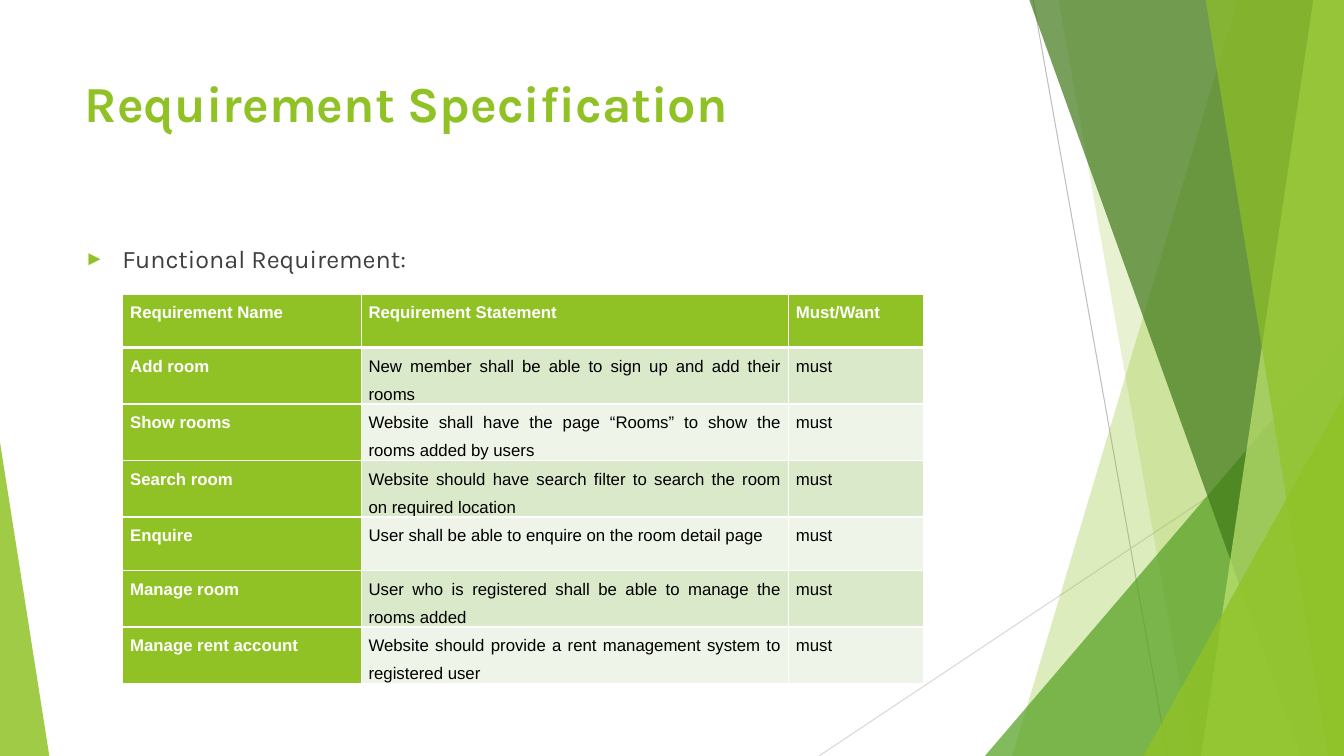
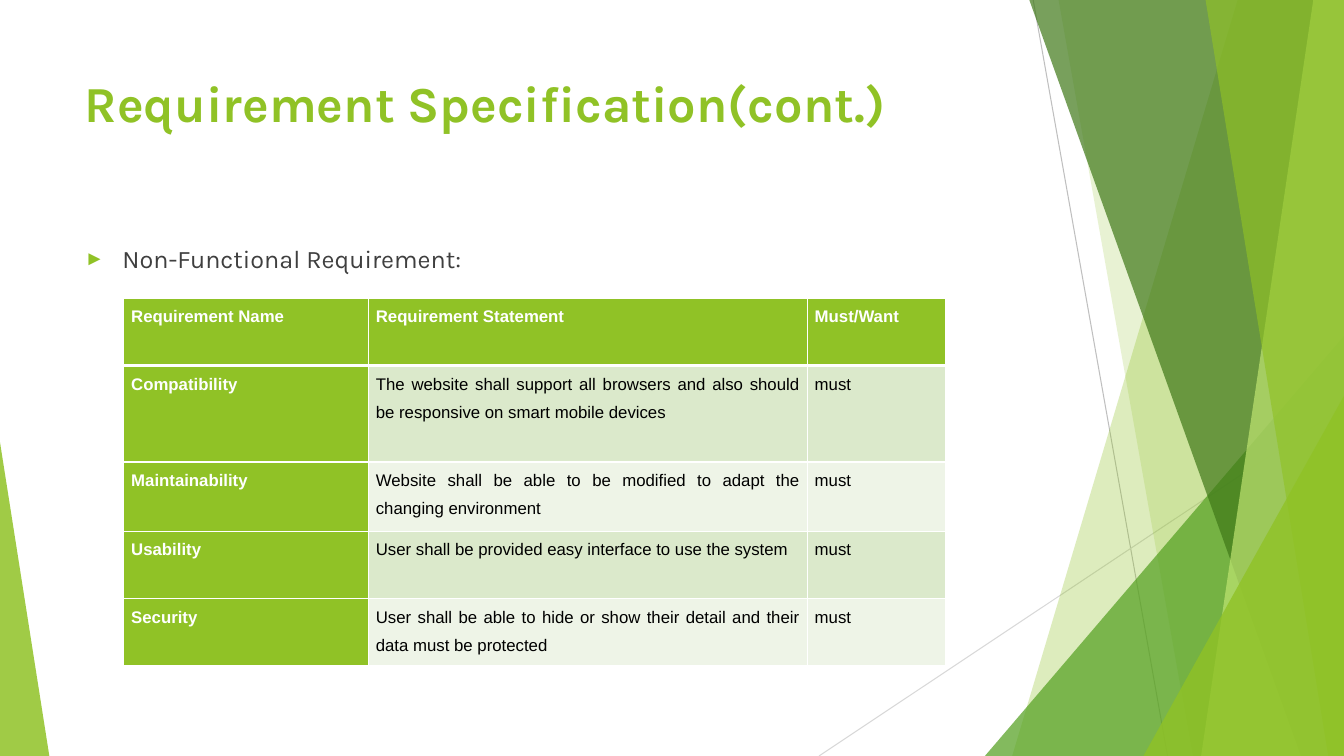
from lxml import etree
from pptx import Presentation
from pptx.dml.color import RGBColor
from pptx.enum import shapes, text
from pptx.oxml import ns
from pptx.util import Pt

PX = 9525
WIDTH, HEIGHT = 1280, 720

GREEN = RGBColor(0x90, 0xC2, 0x26)
MID_GREEN = RGBColor(0x54, 0xA0, 0x21)
DARK_GREEN = RGBColor(0x3F, 0x78, 0x18)
LIGHT_GREEN = RGBColor(0xBF, 0xE4, 0x71)
BANDS = RGBColor(0xDB, 0xE9, 0xCB), RGBColor(0xEE, 0xF4, 0xE7)
WHITE = RGBColor(0xFF, 0xFF, 0xFF)
BLACK = RGBColor(0, 0, 0)
BODY_GREY = RGBColor(0x3F, 0x3F, 0x3F)
LINE_GREY = RGBColor(0xBF, 0xBF, 0xBF)
PALE_GREY = RGBColor(0xD8, 0xD8, 0xD8)

HEADINGS = "Requirement Name", "Requirement Statement", "Must/Want"
FUNCTIONAL = [
    ("Add room", "New member shall be able to sign up and add their rooms"),
    ("Show rooms", "Website shall have the page “Rooms” to show the rooms added by users"),
    ("Search room", "Website should have search filter to search the room on required location"),
    ("Enquire", "User shall be able to enquire on the room detail page"),
    ("Manage room", "User who is registered shall be able to manage the rooms added"),
    ("Manage rent account", "Website should provide a rent management system to registered user"),
]
NON_FUNCTIONAL = [
    ("Compatibility", "The website shall support all browsers and also should be responsive "
                      "on smart mobile devices"),
    ("Maintainability", "Website shall be able to be modified to adapt the changing environment"),
    ("Usability", "User shall be provided easy interface to use the system"),
    ("Security", "User shall be able to hide or show their detail and their data must be protected"),
]


def px(*lengths):
    return [length * PX for length in lengths]


def add_xml(parent, tag, **attributes):
    return etree.SubElement(parent, ns.qn(tag), attributes)


def write(frame, words, size=12, color=BLACK, font="Arial", bold=False,
          align=text.PP_ALIGN.LEFT, spacing=1.0):
    frame.word_wrap = True
    frame.vertical_anchor = text.MSO_ANCHOR.TOP
    paragraph = frame.paragraphs[0]
    paragraph.alignment = align
    paragraph.line_spacing = spacing
    paragraph.space_before = Pt(0)
    run = paragraph.add_run()
    run.text = words
    run.font.size = Pt(size)
    run.font.name = font
    run.font.bold = bold
    run.font.color.rgb = color
    return paragraph


def paint(shape, color, opacity):
    shape.shadow.inherit = False
    shape.line.fill.background()
    shape.fill.solid()
    shape.fill.fore_color.rgb = color
    solid = shape.element.spPr.find(ns.qn("a:solidFill"))
    add_xml(solid[0], "a:alpha", val=str(opacity * 1000))


def add_facet(slide, top_x, bottom_x, color, opacity):
    """Fill from a slanted left side to the right edge of the slide."""
    outline = slide.shapes.build_freeform(top_x, -1, scale=PX)
    outline.add_line_segments([(WIDTH, -1), (WIDTH, HEIGHT), (bottom_x, HEIGHT)])
    paint(outline.convert_to_shape(), color, opacity)


def add_corner(slide, left, top, width, apex, color, opacity):
    """Stand a triangle on the bottom edge; apex is 0 at left, 1 at right."""
    triangle = slide.shapes.add_shape(shapes.MSO_SHAPE.ISOSCELES_TRIANGLE,
                                      *px(left, top, width, HEIGHT - top))
    triangle.adjustments[0] = apex
    paint(triangle, color, opacity)


def add_line(slide, start, end, color):
    line = slide.shapes.add_connector(shapes.MSO_CONNECTOR.STRAIGHT, *px(*start, *end))
    line.line.color.rgb = color
    line.line.width = Pt(0.75)
    add_xml(line.element.spPr, "a:effectLst")


def decorate_master(slide, master):
    """Draw the facets on a slide, then move them behind the master's placeholders."""
    content = {shape.shape_id for shape in slide.shapes}
    add_line(slide, (984, 0), (1112, HEIGHT), LINE_GREY)
    add_line(slide, (WIDTH, 387), (780, HEIGHT), PALE_GREY)
    add_facet(slide, 1179, 964, GREEN, 30)
    add_facet(slide, 1008, 1136, GREEN, 20)
    add_corner(slide, 938, 320, 342, 1, MID_GREEN, 72)
    add_facet(slide, 980, 1239, DARK_GREEN, 70)
    add_facet(slide, 1251, 1144, LIGHT_GREEN, 70)
    add_facet(slide, 1148, 1265, GREEN, 65)
    add_corner(slide, 1089, 377, 191, 1, GREEN, 80)
    add_corner(slide, 0, 421, 47, 0, GREEN, 85)
    facets = [shape for shape in slide.shapes if shape.shape_id not in content]
    for order, facet in enumerate(facets):
        facet.element.xpath(".//p:cNvPr")[0].set("id", str(100 + order))
        master.shapes.element.insert(2 + order, facet.element)


def place_layout(layout):
    for placeholder, box in zip(layout.placeholders, [(71, 64, 902, 138), (71, 227, 902, 407)]):
        (placeholder.left, placeholder.top,
         placeholder.width, placeholder.height) = px(*box)


def add_bullet(paragraph):
    properties = paragraph._p.get_or_add_pPr()
    properties.set("marL", str(36 * PX))
    properties.set("indent", str(-36 * PX))
    color = add_xml(properties, "a:buClr")
    add_xml(color, "a:srgbClr", val=str(GREEN))
    add_xml(properties, "a:buSzPct", val="80000")
    add_xml(properties, "a:buFont", typeface="Arial")
    add_xml(properties, "a:buChar", char="►")


def add_borders(cell, top, bottom):
    properties = cell._tc.get_or_add_tcPr()
    for tag, points in (("a:lnL", 1), ("a:lnR", 1), ("a:lnT", top), ("a:lnB", bottom)):
        border = add_xml(properties, tag, w=str(Pt(points)))
        add_xml(add_xml(border, "a:solidFill"), "a:srgbClr", val=str(WHITE))


def add_requirements(slide, requirements, left, top, widths, heights):
    rows = [HEADINGS] + [(*requirement, "must") for requirement in requirements]
    grid = slide.shapes.add_table(len(rows), len(widths),
                                  *px(left, top, sum(widths), sum(heights))).table
    for column, width in zip(grid.columns, widths):
        column.width = width * PX
    for r, (row, height) in enumerate(zip(rows, heights)):
        grid.rows[r].height = height * PX
        for c, words in enumerate(row):
            cell = grid.cell(r, c)
            heading = r == 0 or c == 0
            cell.margin_left = cell.margin_right = 7 * PX
            cell.margin_top = cell.margin_bottom = 0
            add_borders(cell, top=3 if r == 1 else 1, bottom=3 if r == 0 else 1)
            cell.fill.solid()
            cell.fill.fore_color.rgb = GREEN if heading else BANDS[(r - 1) % 2]
            write(cell.text_frame, words, color=WHITE if heading else BLACK, bold=heading,
                  align=text.PP_ALIGN.JUSTIFY, spacing=1.5)


def add_content_slide(deck, title, topic):
    slide = deck.slides.add_slide(deck.slide_layouts[1])
    write(slide.shapes.title.text_frame, title, size=36, color=GREEN, font="Karla", bold=True)
    add_bullet(write(slide.placeholders[1].text_frame, topic, size=18,
                     color=BODY_GREY, font="Karla"))
    return slide


def main():
    deck = Presentation()
    deck.slide_width, deck.slide_height = px(WIDTH, HEIGHT)
    place_layout(deck.slide_layouts[1])

    functional = add_content_slide(deck, "Requirement Specification", "Functional Requirement:")
    decorate_master(functional, deck.slide_master)
    add_requirements(functional, FUNCTIONAL, 117, 280, (227, 407, 129),
                     (51, 51, 52, 51, 51, 52, 51))

    non_functional = add_content_slide(deck, "Requirement Specification(cont.)",
                                       "Non-Functional Requirement:")
    add_requirements(non_functional, NON_FUNCTIONAL, 118, 284, (233, 418, 132),
                     (64, 92, 66, 64, 64))
    deck.save("out.pptx")


if __name__ == "__main__":
    main()
